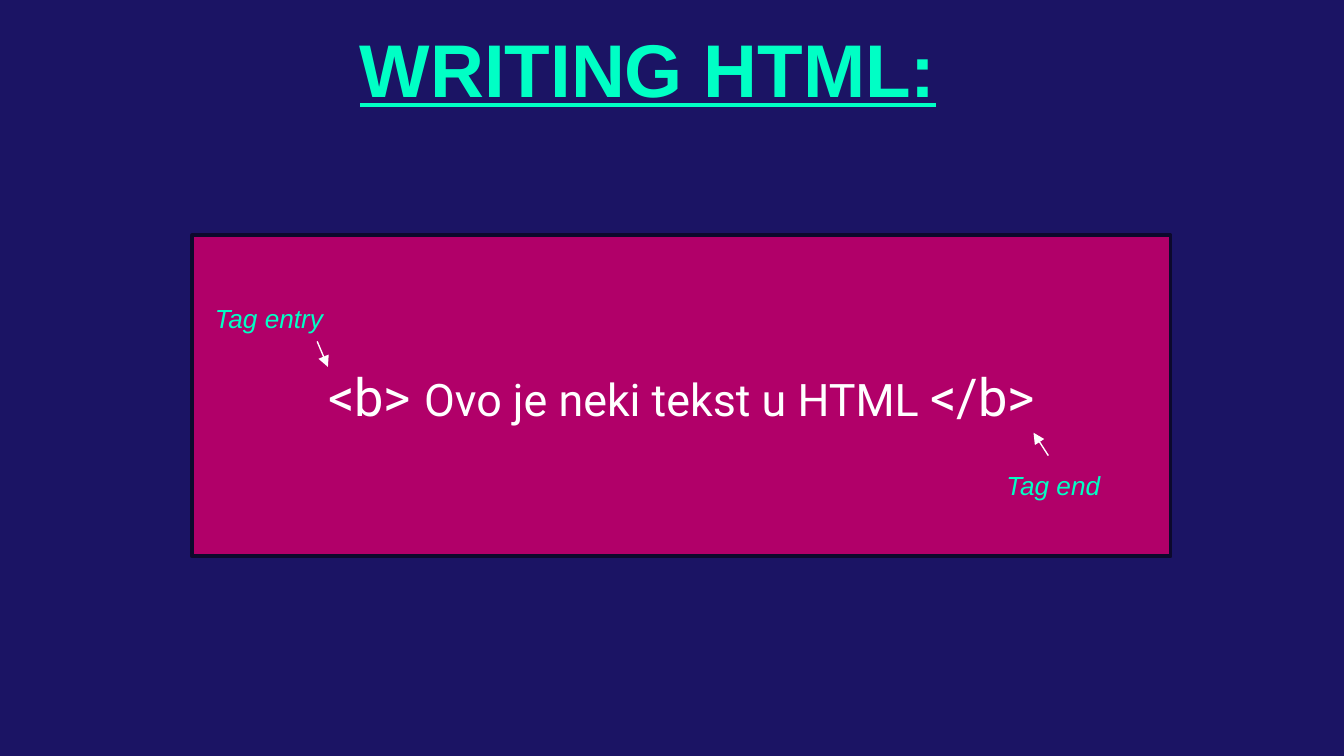
from lxml import etree
from pptx import Presentation
from pptx.dml.color import RGBColor
from pptx.enum.shapes import MSO_CONNECTOR, MSO_SHAPE
from pptx.enum.text import MSO_ANCHOR, MSO_AUTO_SIZE, PP_ALIGN
from pptx.oxml.ns import qn
from pptx.util import Inches, Pt

RECT = MSO_SHAPE.RECTANGLE
STRAIGHT = MSO_CONNECTOR.STRAIGHT
MIDDLE = MSO_ANCHOR.MIDDLE
CENTER = PP_ALIGN.CENTER
GROW = MSO_AUTO_SIZE.SHAPE_TO_FIT_TEXT
NAVY, INK, PINK, MINT, WHITE = "1B1464", "0C092C", "B10069", "00FFC5", "FFFFFF"


def rgb(color):
    return RGBColor.from_string(color)


def add_run(p, text, size, font, color):
    r = p.add_run()
    r.text = text
    r.font.size = Pt(size)
    r.font.name = font
    r.font.color.rgb = rgb(color)
    return r


# 16:9 slide
prs = Presentation()
prs.slide_width = Inches(10)
prs.slide_height = prs.slide_width * 9 // 16
s = prs.slides.add_slide(prs.slide_layouts[6])
s.background.fill.solid()
s.background.fill.fore_color.rgb = rgb(NAVY)

# Title
tb = s.shapes.add_textbox(Inches(2.58), Inches(0.12), Inches(5.22), Inches(0.7))
tb.text_frame.word_wrap = True
r = add_run(tb.text_frame.paragraphs[0], "WRITING HTML:", 40, "Arial", MINT)
r.font.bold = r.font.underline = True

# Code panel
sp = s.shapes.add_shape(RECT, Inches(1.43), Inches(1.75), Inches(7.28), Inches(2.39))
sp.shadow.inherit = False
sp.fill.solid()
sp.fill.fore_color.rgb = rgb(PINK)
sp.line.color.rgb = rgb(INK)
sp.line.width = Pt(2)
tf = sp.text_frame
tf.word_wrap = True
tf.vertical_anchor = MIDDLE
p = tf.paragraphs[0]
p.alignment = CENTER
for text, size in [("<b> ", 28), ("Ovo je neki tekst u HTML ", 24), ("</b>", 28)]:
    add_run(p, text, size, "Roboto", WHITE)

# Tag labels
for text, x, y in [("Tag entry", 1.5, 2.2), ("Tag end", 7.39, 3.44)]:
    tb = s.shapes.add_textbox(Inches(x), Inches(y), Inches(1.18), Inches(0.34))
    tf = tb.text_frame
    tf.word_wrap = True
    tf.auto_size = GROW
    add_run(tf.paragraphs[0], text, 14, "Arial", MINT).font.italic = True

# Arrows from the labels to the tags
for ends in [(7.8, 3.39, 7.69, 3.22), (2.36, 2.54, 2.44, 2.73)]:
    arrow = s.shapes.add_connector(STRAIGHT, *map(Inches, ends))
    arrow.line.color.rgb = rgb(WHITE)
    arrow.line.width = Pt(0.75)
    ln = arrow._element.spPr.find(qn("a:ln"))
    etree.SubElement(ln, qn("a:tailEnd"), type="triangle")
    etree.SubElement(arrow._element.spPr, qn("a:effectLst"))

prs.save("out.pptx")
